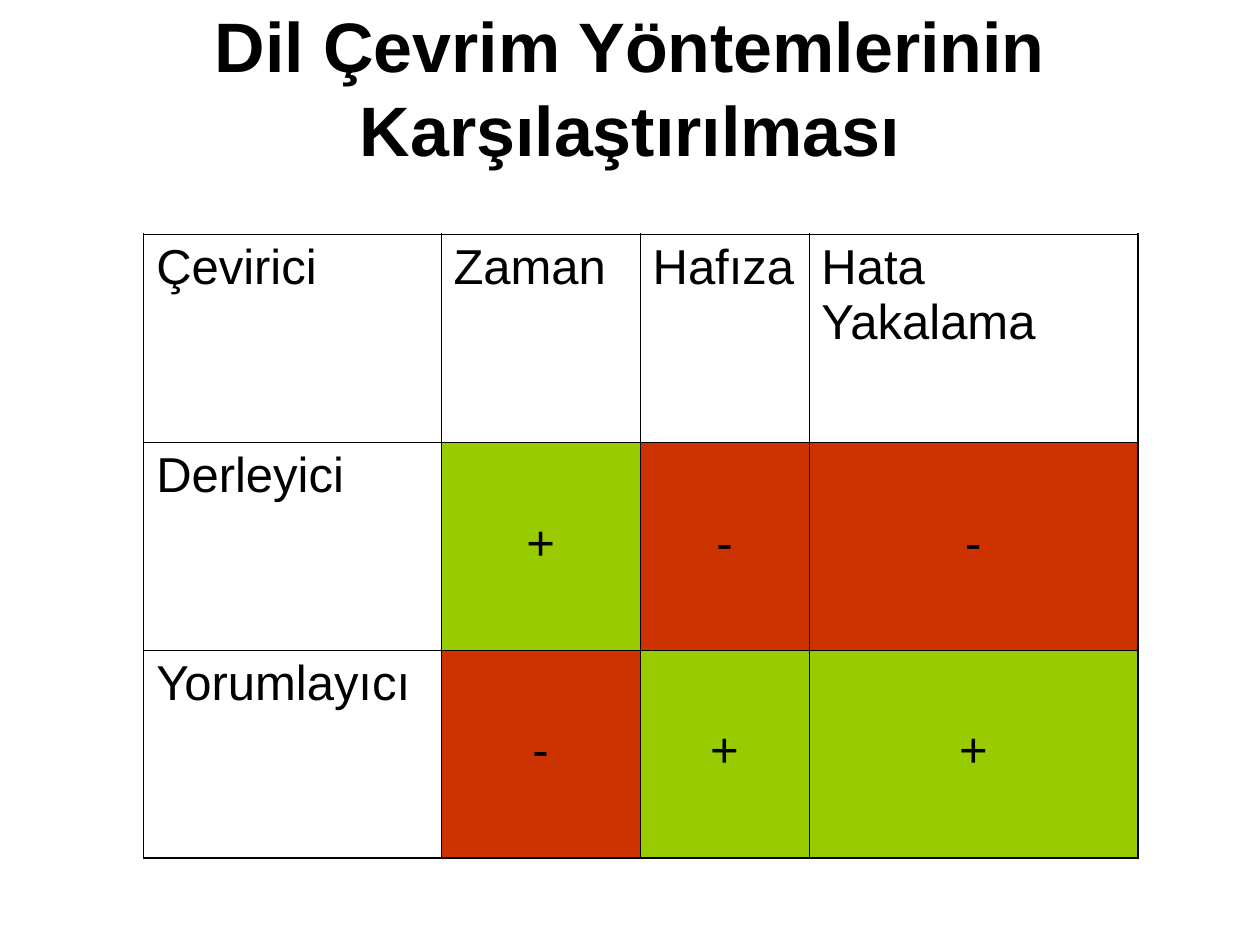
from dataclasses import dataclass

from lxml import etree
from pptx import Presentation
from pptx.dml.color import RGBColor
from pptx.enum.text import MSO_ANCHOR, MSO_AUTO_SIZE, PP_ALIGN
from pptx.oxml.ns import qn
from pptx.util import Inches, Pt

CENTER, LEFT = PP_ALIGN.CENTER, PP_ALIGN.LEFT
MIDDLE, TOP = MSO_ANCHOR.MIDDLE, MSO_ANCHOR.TOP
NO_AUTOFIT = MSO_AUTO_SIZE.NONE
TITLE_ONLY = 5


@dataclass(frozen=True)
class Theme:
    font: str = "Arial"
    title_size: int = 40
    cell_size: int = 28
    ink: str = "000000"
    paper: str = "FFFFFF"
    good: str = "99CC00"
    bad: str = "CC3300"
    outer_line: float = 1.08
    inner_line: float = 0.45


THEME = Theme()
MARK_FILLS = {"+": THEME.good, "-": THEME.bad}

COMPARISON = [
    ["Çevirici", "Zaman", "Hafıza", "Hata Yakalama"],
    ["Derleyici", "+", "-", "-"],
    ["Yorumlayıcı", "-", "+", "+"],
]
COLUMN_WIDTHS = [2.36, 1.58, 1.34, 2.61]
ROW_HEIGHT = 1.65


def format_text(text_frame, size, align, bold=False):
    for paragraph in text_frame.paragraphs:
        paragraph.alignment = align
        for run in paragraph.runs:
            run.font.name = THEME.font
            run.font.size = Pt(size)
            run.font.bold = bold
            run.font.color.rgb = RGBColor.from_string(THEME.ink)


def add_title(slide, text):
    title = slide.shapes.title
    title.left, title.top = Inches(0.5), Inches(0.3)
    title.width, title.height = Inches(9), Inches(0.77)
    frame = title.text_frame
    frame.text = text
    frame.word_wrap = True
    frame.auto_size = NO_AUTOFIT
    frame.vertical_anchor = MIDDLE
    format_text(frame, THEME.title_size, CENTER, bold=True)


def set_borders(cell, outer_sides):
    """Draw all four borders, heavier on the sides at the table's edge."""
    properties = cell._tc.get_or_add_tcPr()
    for side, is_outer in outer_sides.items():
        width = THEME.outer_line if is_outer else THEME.inner_line
        line = etree.SubElement(properties, qn(f"a:ln{side}"), w=str(Pt(width)))
        fill = etree.SubElement(line, qn("a:solidFill"))
        etree.SubElement(fill, qn("a:srgbClr"), val=THEME.ink)


def fill_cell(cell, text):
    is_mark = text in MARK_FILLS
    cell.text_frame.text = text
    cell.margin_left = cell.margin_right = Inches(0.1)
    cell.margin_top = Inches(0.05)
    cell.margin_bottom = Inches(0.1 if is_mark else 0.05)
    cell.vertical_anchor = MIDDLE if is_mark else TOP
    format_text(cell.text_frame, THEME.cell_size, CENTER if is_mark else LEFT)
    cell.fill.solid()
    cell.fill.fore_color.rgb = RGBColor.from_string(
        MARK_FILLS.get(text, THEME.paper))


def add_comparison_table(slide, rows):
    last_row, last_column = len(rows) - 1, len(COLUMN_WIDTHS) - 1
    table = slide.shapes.add_table(
        len(rows), len(COLUMN_WIDTHS), Inches(1.14), Inches(1.86),
        Inches(sum(COLUMN_WIDTHS)), Inches(ROW_HEIGHT * len(rows))).table
    table.first_row = table.horz_banding = False
    for column, width in zip(table.columns, COLUMN_WIDTHS):
        column.width = Inches(width)
    for r, texts in enumerate(rows):
        table.rows[r].height = Inches(ROW_HEIGHT)
        for c, text in enumerate(texts):
            cell = table.cell(r, c)
            set_borders(cell, {"L": c == 0, "R": c == last_column,
                               "T": r == 0, "B": r == last_row})
            fill_cell(cell, text)


def main():
    presentation = Presentation()
    presentation.slide_width = Inches(10)
    presentation.slide_height = Inches(7.5)
    slide = presentation.slides.add_slide(presentation.slide_layouts[TITLE_ONLY])

    # Heading
    add_title(slide, "Dil Çevrim Yöntemlerinin Karşılaştırılması")

    # Translators compared by time, memory and error catching
    add_comparison_table(slide, COMPARISON)

    presentation.save("out.pptx")


if __name__ == "__main__":
    main()
